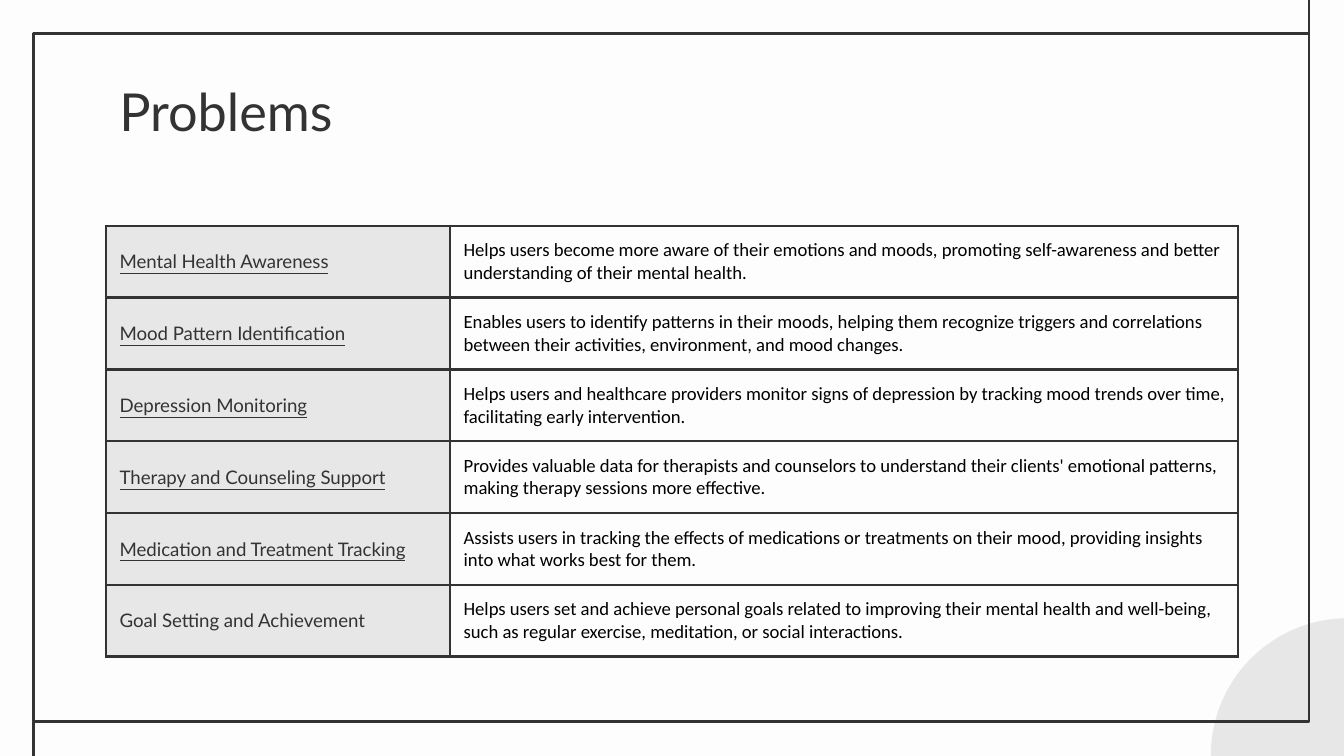
from lxml import etree
from pptx import Presentation
from pptx.dml.color import RGBColor
from pptx.enum import shapes, text
from pptx.oxml import ns
from pptx.util import Inches, Pt

TITLE = "Problems"
PROBLEMS = [
    ("Mental Health Awareness", True,
     "Helps users become more aware of their emotions and moods, promoting "
     "self-awareness and better understanding of their mental health."),
    ("Mood Pattern Identification", True,
     "Enables users to identify patterns in their moods, helping them recognize "
     "triggers and correlations between their activities, environment, and mood changes."),
    ("Depression Monitoring", True,
     "Helps users and healthcare providers monitor signs of depression by tracking "
     "mood trends over time, facilitating early intervention."),
    ("Therapy and Counseling Support", True,
     "Provides valuable data for therapists and counselors to understand their "
     "clients' emotional patterns, making therapy sessions more effective."),
    ("Medication and Treatment Tracking", True,
     "Assists users in tracking the effects of medications or treatments on their "
     "mood, providing insights into what works best for them."),
    ("Goal Setting and Achievement", False,
     "Helps users set and achieve personal goals related to improving their mental "
     "health and well-being, such as regular exercise, meditation, or social interactions."),
]

THEME = {
    "paper": RGBColor.from_string("FDFDFD"),
    "shade": RGBColor.from_string("E8E7E7"),
    "ink": RGBColor.from_string("333333"),
    "black": RGBColor.from_string("000000"),
    "line": Pt(1.5),
    "title": Pt(28),
    "body": Pt(10),
    "head_font": "Lato",
    "body_font": "Calibri",
}
MARGIN = Inches(0.1)
LEFT, WIDTH = Inches(0.79), Inches(8.43)
TABLE_TOP, TABLE_HEIGHT = Inches(1.68), Inches(3.2)
COLUMNS = [Inches(2.56), Inches(5.86)]
FRAME_LEFT, FRAME_TOP = Inches(0.25), Inches(0.25)
FRAME_WIDTH, FRAME_HEIGHT = Inches(9.49), Inches(5.12)


def write(holder, frame, words, anchor, **font):
    for side in ("left", "top", "right", "bottom"):
        setattr(holder, f"margin_{side}", MARGIN)
    holder.vertical_anchor = anchor
    frame.word_wrap = True
    para = frame.paragraphs[0]
    span = para.add_run()
    span.text = words
    span.font.color.rgb = font.pop("color")
    for name, value in font.items():
        setattr(span.font, name, value)
    return para


def outline(shape):
    shape.line.color.rgb = THEME["ink"]
    shape.line.width = THEME["line"]


def add_rule(page, x, start, end):
    rule = page.shapes.add_connector(shapes.MSO_CONNECTOR.STRAIGHT, x, start, x, end)
    outline(rule)
    etree.SubElement(rule._element.spPr, ns.qn("a:effectLst"))


def add_borders(cell):
    properties = cell._tc.get_or_add_tcPr()
    for side in ("lnL", "lnR", "lnT", "lnB"):
        line = etree.SubElement(properties, ns.qn(f"a:{side}"), w=str(THEME["line"]))
        fill = etree.SubElement(line, ns.qn("a:solidFill"))
        etree.SubElement(fill, ns.qn("a:srgbClr"), val=str(THEME["ink"]))


def add_backdrop(page, height):
    circle = page.shapes.add_shape(
        shapes.MSO_SHAPE.OVAL, Inches(9.01), Inches(4.6), Inches(2.04), Inches(2.04))
    circle.shadow.inherit = False
    circle.fill.solid()
    circle.fill.fore_color.rgb = THEME["shade"]
    circle.line.fill.background()

    add_rule(page, FRAME_LEFT + FRAME_WIDTH, FRAME_TOP, 0)
    add_rule(page, FRAME_LEFT, height, FRAME_TOP + FRAME_HEIGHT)
    border = page.shapes.add_shape(
        shapes.MSO_SHAPE.RECTANGLE, FRAME_LEFT, FRAME_TOP, FRAME_WIDTH, FRAME_HEIGHT)
    border.shadow.inherit = False
    border.fill.background()
    outline(border)


def add_problems(page):
    table = page.shapes.add_table(
        len(PROBLEMS), len(COLUMNS), LEFT, TABLE_TOP, WIDTH, TABLE_HEIGHT).table
    table.first_row = table.horz_banding = False
    for column, width in zip(table.columns, COLUMNS):
        column.width = width
    middle = text.MSO_ANCHOR.MIDDLE
    for row, (problem, underlined, answer) in zip(table.rows, PROBLEMS):
        label, detail = row.cells
        for cell in (label, detail):
            add_borders(cell)
        label.fill.solid()
        label.fill.fore_color.rgb = THEME["shade"]
        detail.fill.background()
        write(label, label.text_frame, problem, middle, color=THEME["ink"],
              name=THEME["head_font"], size=THEME["body"], underline=underlined)
        para = write(detail, detail.text_frame, answer, middle, color=THEME["black"],
                     name=THEME["body_font"], size=THEME["body"])
        para.space_after = Pt(16)


def main():
    deck = Presentation()
    deck.slide_width = Inches(10)
    deck.slide_height = deck.slide_width * 9 // 16
    page = deck.slides.add_slide(deck.slide_layouts[6])
    page.background.fill.solid()
    page.background.fill.fore_color.rgb = THEME["paper"]
    add_backdrop(page, deck.slide_height)
    title = page.shapes.add_textbox(LEFT, Inches(0.49), WIDTH, Inches(0.63)).text_frame
    write(title, title, TITLE, text.MSO_ANCHOR.TOP, color=THEME["ink"],
          name=THEME["head_font"], size=THEME["title"])
    add_problems(page)
    deck.save("out.pptx")


if __name__ == "__main__":
    main()
